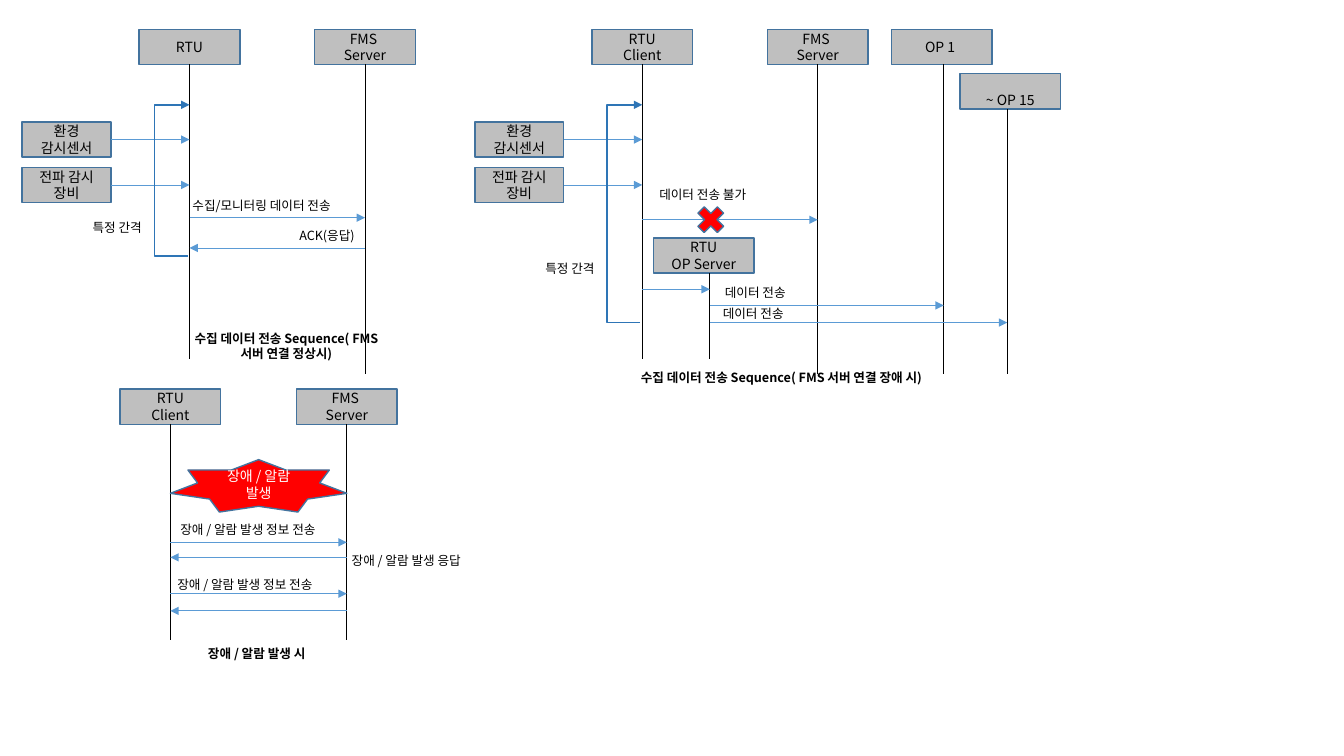
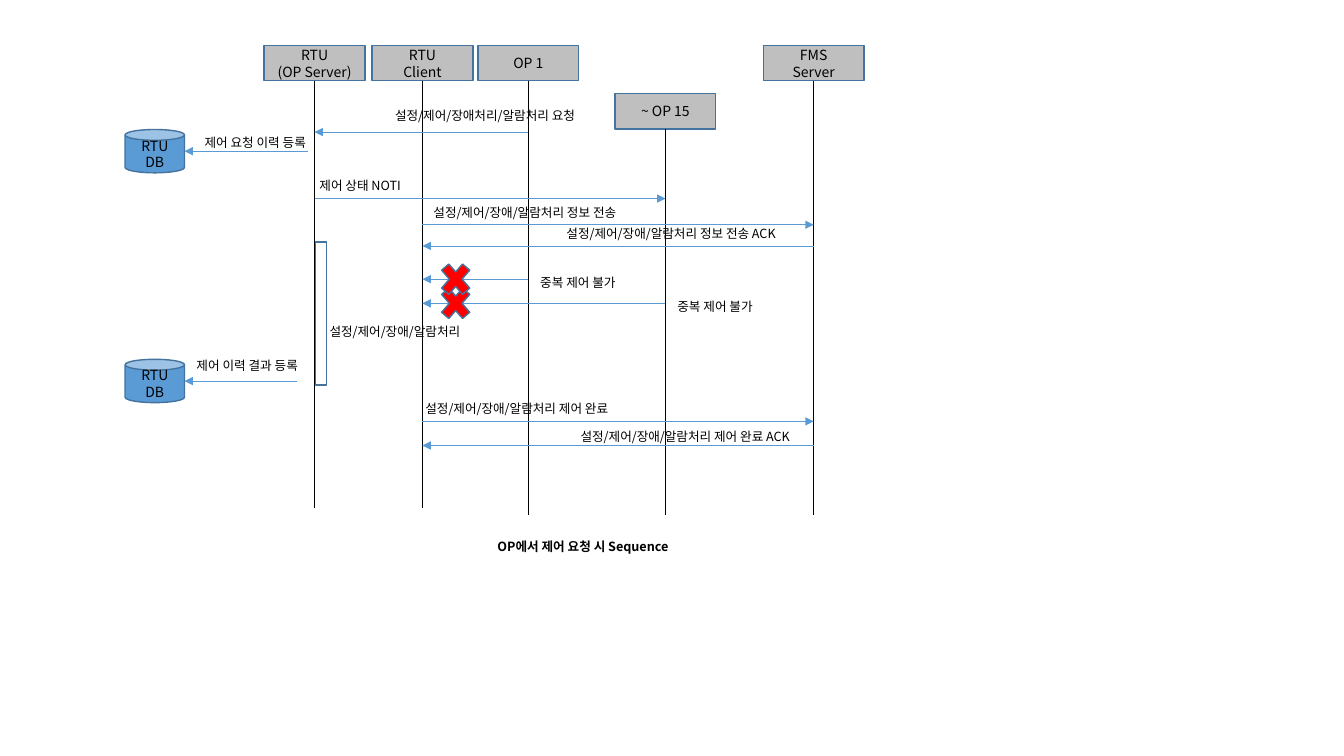
"""Sequence diagrams of monitoring data, alarms and control requests, on a grid of 0.01 inch cells."""
from lxml.etree import SubElement
from pptx import Presentation
from pptx.dml.color import RGBColor
from pptx.enum.shapes import MSO_CONNECTOR as Link, MSO_SHAPE as Preset
from pptx.enum.text import MSO_ANCHOR as Anchor, MSO_AUTO_SIZE as Fit, PP_ALIGN as Align
from pptx.oxml.ns import qn
from pptx.util import Inches, Pt

COLUMNS, ROWS = 1333, 750
CELL = Inches(0.01)
FONT = "Noto Sans CJK KR"
COLOURS = {
    "head": "BFBFBF", "outline": "43739E", "lifeline": "000000", "message": "5B9BD5",
    "loop": "2E75B6", "alarm": "FF0000", "text": "000000", "light": "FFFFFF",
}
HEAD_WIDTH, HEAD_HEIGHT = 100, 35
SENSOR_WIDTH, SENSOR_REACH, SENSOR_TOP, SENSOR_STEP = 88, 166, 121, 45
LOOP_TOP, LOOP_REACH = 104, 35
DB_X, DB_WIDTH, DB_HEIGHT = 183, 59, 43
BAR_WIDTH, STAR_HEIGHT = 11, 52
LABEL_HEIGHT, LABEL_RISE, BESIDE, CAPTION_WIDTH = 25, 25, 9, 321
SENSORS = ["환경 감시센서", "전파 감시 장비"]

SCENES = [
    {
        "participants": [
            (29, 356, [("rtu", "RTU", 188), ("client", "RTU\nClient", 637)]),
            (29, 371, [("fms", "FMS \nServer", 362), ("lost fms", "FMS \nServer", 811),
                       ("op1", "OP 1 ", 936)]),
            (236, 356, [("op server", "RTU\nOP Server", 704)]),
            (73, 371, [("op15", "~ OP 15", 999)]),
            (386, 635, [("alarm client", "RTU\nClient", 169), ("alarm fms", "FMS \nServer", 344)]),
        ],
        "head_shifts": {"op1": -2, "op server": -6, "op15": 3},
        "low_heads": ["op15"],
        "collectors": [("rtu", 254, 213), ("client", 320, 254)],
        "bars": [],
        "stars": [("alarm client", "alarm fms", 456, "장애 / 알람 발생")],
        "cross_size": (37, 37),
        "messages": [
            ("rtu", "fms", 216, "수집/모니터링 데이터 전송", 181),
            ("fms", "rtu", 246, "ACK(응답)", 287),
            ("client", "lost fms", 218, "데이터 전송 불가", 644, 38, 705),
            ("client", "op server", 287),
            ("op server", "op1", 303, "데이터 전송", 709),
            ("op server", "op15", 320, "데이터 전송", 707, 21),
            ("alarm client", "alarm fms", 538, "장애 / 알람 발생 정보 전송", 169),
            ("alarm fms", "alarm client", 553, "장애 / 알람 발생 응답", 339, BESIDE),
            ("alarm client", "alarm fms", 589, "장애 / 알람 발생 정보 전송", 166, 22),
            ("alarm fms", "alarm client", 606),
        ],
        "captions": [
            ("수집 데이터 전송 Sequence( FMS 서버 연결 정상시)", 284, 323, 220),
            ("수집 데이터 전송 Sequence( FMS 서버 연결 장애 시)", 775, 362),
            ("장애 / 알람 발생 시 ", 256, 636),
        ],
    },
    {
        "participants": [
            (45, 504, [("rtu", "RTU\n(OP Server)", 312), ("client", "RTU\nClient", 419)]),
            (45, 511, [("op1", "OP 1", 524), ("fms", "FMS\nServer", 807)]),
            (93, 511, [("op15", "~ OP 15", 660)]),
        ],
        "head_shifts": {},
        "low_heads": [],
        "collectors": [],
        "bars": [("rtu", 240, 142, "설정/제어/장애/알람처리", 317)],
        "stars": [],
        "cross_size": (40, 46),
        "messages": [
            ("op1", "rtu", 131, "설정/제어/장애처리/알람처리 요청", 382, 29),
            (305, "db", 150, "제어 요청 이력 등록", 193, 21),
            ("rtu", "op15", 197, "제어 상태 NOTI", 307),
            ("client", "fms", 223, "설정/제어/장애/알람처리 정보 전송", 420),
            ("fms", "client", 244, "설정/제어/장애/알람처리 정보 전송 ACK", 552),
            ("op15", "client", 301, "중복 제어 불가", 662, BESIDE, 452),
            ("op1", "client", 277, "중복 제어 불가", 526, BESIDE, 452),
            (295, "db", 378, "제어 이력 결과 등록", 185, 28),
            ("client", "fms", 418, "설정/제어/장애/알람처리 제어 완료", 412),
            ("fms", "client", 442, "설정/제어/장애/알람처리 제어 완료 ACK", 566, 21),
        ],
        "captions": [("OP에서 제어 요청 시 Sequence  ", 581, 530)],
    },
]


def cells(*counts):
    return [int(count * CELL) for count in counts]


def colour(name):
    return RGBColor.from_string(COLOURS[name])


def write(frame, text, size, ink="text", align=Align.CENTER, bold=False):
    frame.word_wrap = True
    for index, line in enumerate(text.split("\n")):
        paragraph = frame.add_paragraph() if index else frame.paragraphs[0]
        paragraph.alignment = align
        run = paragraph.add_run()
        run.text = line
        run.font.size, run.font.bold, run.font.name = Pt(size), bold, FONT
        run.font.color.rgb = colour(ink)
        SubElement(run._r.get_or_add_rPr(), qn("a:ea"), typeface=FONT)


def stroke(part, ink, width, arrow=False):
    part.line.color.rgb = colour(ink)
    part.line.width = Pt(width)
    if arrow:
        SubElement(part.get_or_add_ln(), qn("a:tailEnd"), type="triangle")


def add_mark(slide, preset, left, top, width, height, fill=None, text="", ink="text"):
    mark = slide.shapes.add_shape(preset, *cells(left, top, width, height))
    mark.shadow.inherit = False
    if fill:
        mark.fill.solid()
        mark.fill.fore_color.rgb = colour(fill)
    else:
        mark.fill.background()
    stroke(mark, "outline", 1)
    mark.text_frame.vertical_anchor = Anchor.MIDDLE
    if text:
        write(mark.text_frame, text, 10, ink)
    return mark


def add_line(slide, x, y, end_x, end_y, ink="message", arrow=True):
    line = slide.shapes.add_connector(Link.STRAIGHT, *cells(x, y, end_x, end_y))
    stroke(line, ink, 0.5, arrow)
    SubElement(line._element.spPr, qn("a:effectLst"))
    return line


def add_label(slide, text, left, top):
    width = 12 * len(text) + 20
    label = slide.shapes.add_textbox(*cells(left, top, width, LABEL_HEIGHT))
    write(label.text_frame, text, 9, align=Align.LEFT)
    label.text_frame.auto_size = Fit.SHAPE_TO_FIT_TEXT


def add_caption(slide, text, centre, top, width=CAPTION_WIDTH):
    caption = slide.shapes.add_textbox(*cells(centre - width / 2, top, width, LABEL_HEIGHT))
    write(caption.text_frame, text, 9, bold=True)
    caption.text_frame.auto_size = Fit.SHAPE_TO_FIT_TEXT


def add_participant(slide, text, x, top, end, shift, low):
    head = add_mark(slide, Preset.RECTANGLE, x + shift - HEAD_WIDTH / 2, top,
                    HEAD_WIDTH, HEAD_HEIGHT, "head", text)
    if low:
        head.text_frame.vertical_anchor = Anchor.BOTTOM
        head.text_frame.margin_bottom = CELL
    lifeline = add_line(slide, x, top + HEAD_HEIGHT, x, end, "lifeline", False)
    if not shift:
        lifeline.begin_connect(head, 2)


def add_collector(slide, x, bottom, label_top):
    for index, name in enumerate(SENSORS):
        top = SENSOR_TOP + index * SENSOR_STEP
        middle = top + HEAD_HEIGHT / 2
        left = x - SENSOR_REACH
        sensor = add_mark(slide, Preset.RECTANGLE, left, top,
                          SENSOR_WIDTH, HEAD_HEIGHT, "head", name)
        reading = add_line(slide, left + SENSOR_WIDTH, middle, x, middle)
        reading.begin_connect(sensor, 3)
    far = x - LOOP_REACH
    builder = slide.shapes.build_freeform(*cells(x - 2, bottom))
    corners = [(far, bottom), (far, LOOP_TOP), (x, LOOP_TOP)]
    builder.add_line_segments([cells(*corner) for corner in corners], close=False)
    loop = builder.convert_to_shape()
    loop.shadow.inherit = False
    loop.fill.background()
    stroke(loop, "loop", 1, True)
    add_label(slide, "특정 간격", x - HEAD_WIDTH - 6, label_top)


def add_message(slide, lives, cross_size, sender, receiver, y,
                text="", left=0, rise=LABEL_RISE, cross_x=None):
    add_line(slide, lives.get(sender, sender), y, lives[receiver], y)
    if receiver == "db":
        add_mark(slide, Preset.CAN, DB_X - DB_WIDTH, y - DB_HEIGHT / 2,
                 DB_WIDTH, DB_HEIGHT, "message", "RTU\nDB")
    if cross_x:
        width, height = cross_size
        add_mark(slide, Preset.MATH_MULTIPLY, cross_x - width / 2, y - height / 2,
                 width, height, "alarm")
    if text:
        add_label(slide, text, left, y - rise)


def add_scene(deck, scene):
    slide = deck.slides.add_slide(deck.slide_layouts[6])
    lives = {"db": DB_X}
    for top, end, members in scene["participants"]:
        for key, text, x in members:
            lives[key] = x
            add_participant(slide, text, x, top, end,
                            scene["head_shifts"].get(key, 0), key in scene["low_heads"])
    for key, bottom, label_top in scene["collectors"]:
        add_collector(slide, lives[key], bottom, label_top)
    for key, top, height, text, left in scene["bars"]:
        add_mark(slide, Preset.RECTANGLE, lives[key] + 1, top, BAR_WIDTH, height)
        add_label(slide, text, left, top + height / 2 + BAR_WIDTH / 2)
    for first, last, top, text in scene["stars"]:
        add_mark(slide, Preset.STAR_7_POINT, lives[first], top, lives[last] - lives[first],
                 STAR_HEIGHT, "alarm", text, "light")
    for message in scene["messages"]:
        add_message(slide, lives, scene["cross_size"], *message)
    for caption in scene["captions"]:
        add_caption(slide, *caption)


def main():
    deck = Presentation()
    deck.slide_width, deck.slide_height = cells(COLUMNS, ROWS)
    for scene in SCENES:
        add_scene(deck, scene)
    deck.save("out.pptx")


if __name__ == "__main__":
    main()
